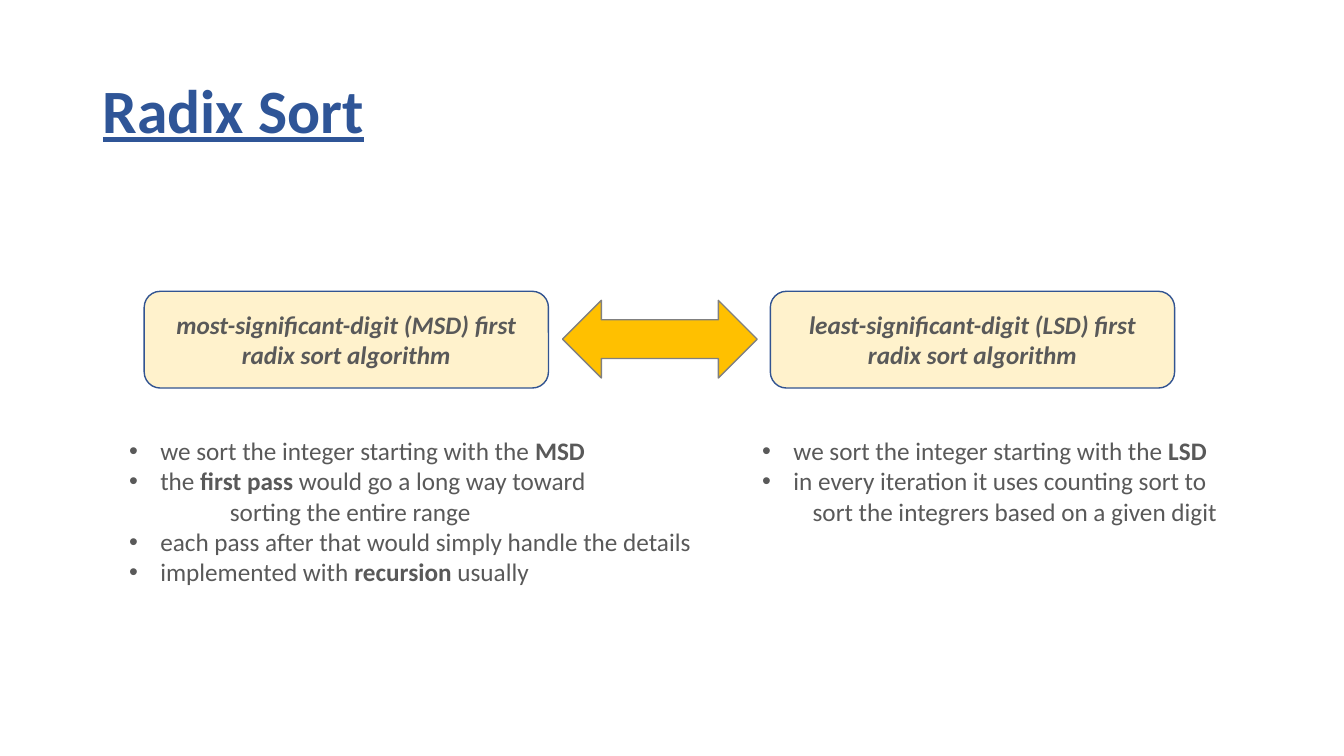
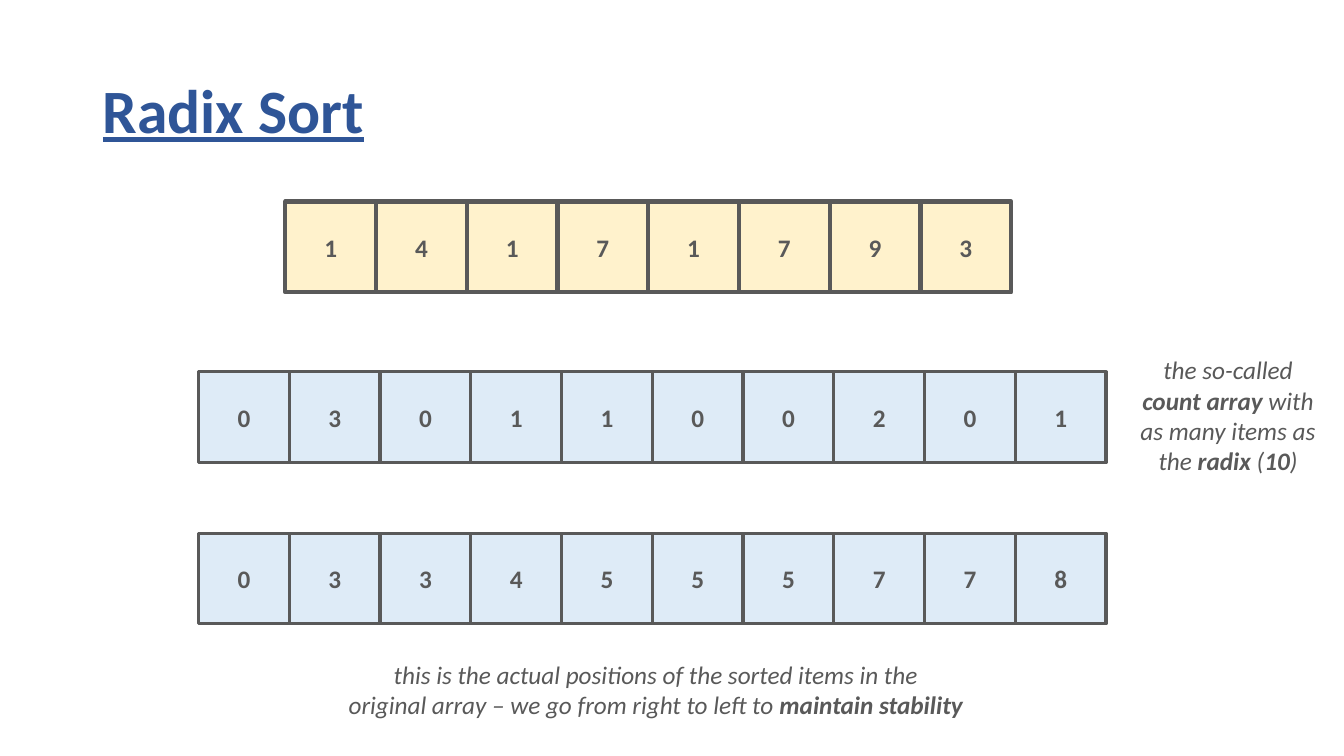
from dataclasses import dataclass

from lxml.etree import SubElement
from pptx import Presentation
from pptx.dml.color import RGBColor
from pptx.enum.shapes import MSO_SHAPE
from pptx.enum.text import MSO_ANCHOR, MSO_AUTO_SIZE, PP_ALIGN
from pptx.oxml.ns import qn
from pptx.shapes.autoshape import Shape
from pptx.slide import Slide, SlideLayout
from pptx.text.text import TextFrame
from pptx.util import Emu, Pt

EMU_PER_PX = 9144  # 100 px to the inch


@dataclass(frozen=True)
class Theme:
    font: str = "Calibri"
    title_size: int = 44
    text_size: int = 18
    title: str = "2F5597"
    text: str = "595959"
    cream: str = "FFF2CC"
    pale_blue: str = "DEEBF7"
    gold: str = "FFC000"
    box_line: str = "325491"
    arrow_line: str = "808080"


@dataclass(frozen=True)
class Box:
    left: int
    top: int
    width: int
    height: int


@dataclass(frozen=True)
class ListLine:
    text: str
    margin: int = 31
    bullet: bool = True


@dataclass(frozen=True)
class Variant:
    heading: Box
    heading_lines: tuple[str, ...]
    body: Box
    body_lines: tuple[ListLine, ...]


@dataclass(frozen=True)
class ArrayRow:
    left: int
    top: int
    values: tuple[int, ...]
    fill: str
    line_width: float


@dataclass(frozen=True)
class Caption:
    box: Box
    lines: tuple[str, ...]


THEME = Theme()
CELL = 90
TITLE_TEXT = "Radix Sort"
TITLE_BOX = Box(92, 40, 1150, 145)
ARROW_BOX = Box(558, 298, 193, 77)

VARIANTS = (
    Variant(
        Box(143, 289, 401, 96),
        ("most-significant-digit (MSD) first", "radix sort algorithm"),
        Box(118, 427, 585, 162),
        (
            ListLine("we sort the integer starting with the **MSD**"),
            ListLine("the **first pass **would go a long way toward"),
            ListLine("sorting the entire range", margin=100, bullet=False),
            ListLine("each pass after that would simply handle the details"),
            ListLine("implemented with **recursion** usually"),
        ),
    ),
    Variant(
        Box(764, 289, 401, 96),
        ("least-significant-digit (LSD) first", "radix sort algorithm"),
        Box(746, 427, 485, 101),
        (
            ListLine("we sort the integer starting with the **LSD**"),
            ListLine("in every iteration it uses counting sort to"),
            ListLine("sort the integrers based on a given digit", margin=50, bullet=False),
        ),
    ),
)

ARRAY_ROWS = (
    ArrayRow(283, 200, (1, 4, 1, 7, 1, 7, 9, 3), THEME.cream, 3),
    ArrayRow(197, 369, (0, 3, 0, 1, 1, 0, 0, 2, 0, 1), THEME.pale_blue, 2.25),
    ArrayRow(197, 529, (0, 3, 3, 4, 5, 5, 5, 7, 7, 8), THEME.pale_blue, 2.25),
)

CAPTIONS = (
    Caption(
        Box(1118, 347, 200, 162),
        ("the so-called", "**count array **with", "as many items as", "the **radix** (**10**)"),
    ),
    Caption(
        Box(332, 649, 637, 101),
        (
            "this is the actual positions of the sorted items in the",
            "original array – we go from right to left to** maintain stability**",
        ),
    ),
)


def px(length: int) -> Emu:
    return Emu(length * EMU_PER_PX)


def edges(box: Box) -> tuple[Emu, Emu, Emu, Emu]:
    return px(box.left), px(box.top), px(box.width), px(box.height)


def place(shape: Shape, box: Box) -> None:
    shape.left, shape.top, shape.width, shape.height = edges(box)


def write(
    frame: TextFrame,
    *lines: str,
    size: int = THEME.text_size,
    color: str = THEME.text,
    bold: bool = False,
    italic: bool = False,
    underline: bool = False,
    align: PP_ALIGN = PP_ALIGN.CENTER,
    anchor: MSO_ANCHOR = MSO_ANCHOR.MIDDLE,
    spacing: float = 1.0,
) -> None:
    """Write one paragraph per line; ** switches bold on and off."""
    frame.word_wrap = True
    frame.auto_size = MSO_AUTO_SIZE.NONE
    frame.vertical_anchor = anchor
    for number, line in enumerate(lines):
        paragraph = frame.add_paragraph() if number else frame.paragraphs[0]
        paragraph.alignment = align
        paragraph.line_spacing = spacing
        paragraph.space_before = Pt(0)
        for index, part in enumerate(line.split("**")):
            if not part:
                continue
            run = paragraph.add_run()
            run.text = part
            font = run.font
            font.name = THEME.font
            font.size = Pt(size)
            font.color.rgb = RGBColor.from_string(color)
            font.bold = bold or index % 2 == 1
            font.italic = italic
            font.underline = underline


def add_box(
    slide: Slide, kind: MSO_SHAPE, box: Box, fill: str, line: str, line_width: float = 1
) -> Shape:
    shape = slide.shapes.add_shape(kind, *edges(box))
    shape.shadow.inherit = False
    shape.fill.solid()
    shape.fill.fore_color.rgb = RGBColor.from_string(fill)
    shape.line.color.rgb = RGBColor.from_string(line)
    shape.line.width = Pt(line_width)
    return shape


def add_titled_slide(presentation: Presentation, layout: SlideLayout) -> Slide:
    slide = presentation.slides.add_slide(layout)
    title = slide.shapes.title
    place(title, TITLE_BOX)
    write(title.text_frame, TITLE_TEXT, size=THEME.title_size, color=THEME.title,
          bold=True, underline=True, align=PP_ALIGN.LEFT, spacing=0.9)
    return slide


def fill_list(placeholder: Shape, box: Box, lines: tuple[ListLine, ...]) -> None:
    place(placeholder, box)
    frame = placeholder.text_frame
    write(frame, *(line.text for line in lines), align=PP_ALIGN.LEFT, anchor=MSO_ANCHOR.TOP)
    for paragraph, line in zip(frame.paragraphs, lines):
        properties = paragraph._p.get_or_add_pPr()
        properties.set("marL", str(px(line.margin)))
        properties.set("indent", str(px(-line.margin if line.bullet else 0)))
        if line.bullet:
            SubElement(properties, qn("a:buFont")).set("typeface", "Arial")
            SubElement(properties, qn("a:buChar")).set("char", "•")
        else:
            SubElement(properties, qn("a:buNone"))


def add_array(slide: Slide, row: ArrayRow) -> None:
    for column, value in enumerate(row.values):
        box = Box(row.left + column * CELL, row.top, CELL, CELL)
        cell = add_box(slide, MSO_SHAPE.RECTANGLE, box, row.fill, THEME.text, row.line_width)
        write(cell.text_frame, str(value), bold=True)


def build_variants_slide(presentation: Presentation) -> None:
    slide = add_titled_slide(presentation, presentation.slide_layouts.get_by_name("Two Content"))
    bodies = list(slide.placeholders)[1:]
    for variant, body in zip(VARIANTS, bodies):
        heading = add_box(slide, MSO_SHAPE.ROUNDED_RECTANGLE, variant.heading,
                          THEME.cream, THEME.box_line)
        write(heading.text_frame, *variant.heading_lines, bold=True, italic=True)
        fill_list(body, variant.body, variant.body_lines)
    add_box(slide, MSO_SHAPE.LEFT_RIGHT_ARROW, ARROW_BOX, THEME.gold, THEME.arrow_line)


def build_arrays_slide(presentation: Presentation) -> None:
    slide = add_titled_slide(presentation, presentation.slide_layouts.get_by_name("Title Only"))
    for row in ARRAY_ROWS:
        add_array(slide, row)
    for caption in CAPTIONS:
        text_box = slide.shapes.add_textbox(*edges(caption.box))
        write(text_box.text_frame, *caption.lines, italic=True, anchor=MSO_ANCHOR.TOP)


def main() -> None:
    presentation = Presentation()
    presentation.slide_width, presentation.slide_height = px(1333), px(750)
    build_variants_slide(presentation)
    build_arrays_slide(presentation)
    presentation.save("out.pptx")


if __name__ == "__main__":
    main()
